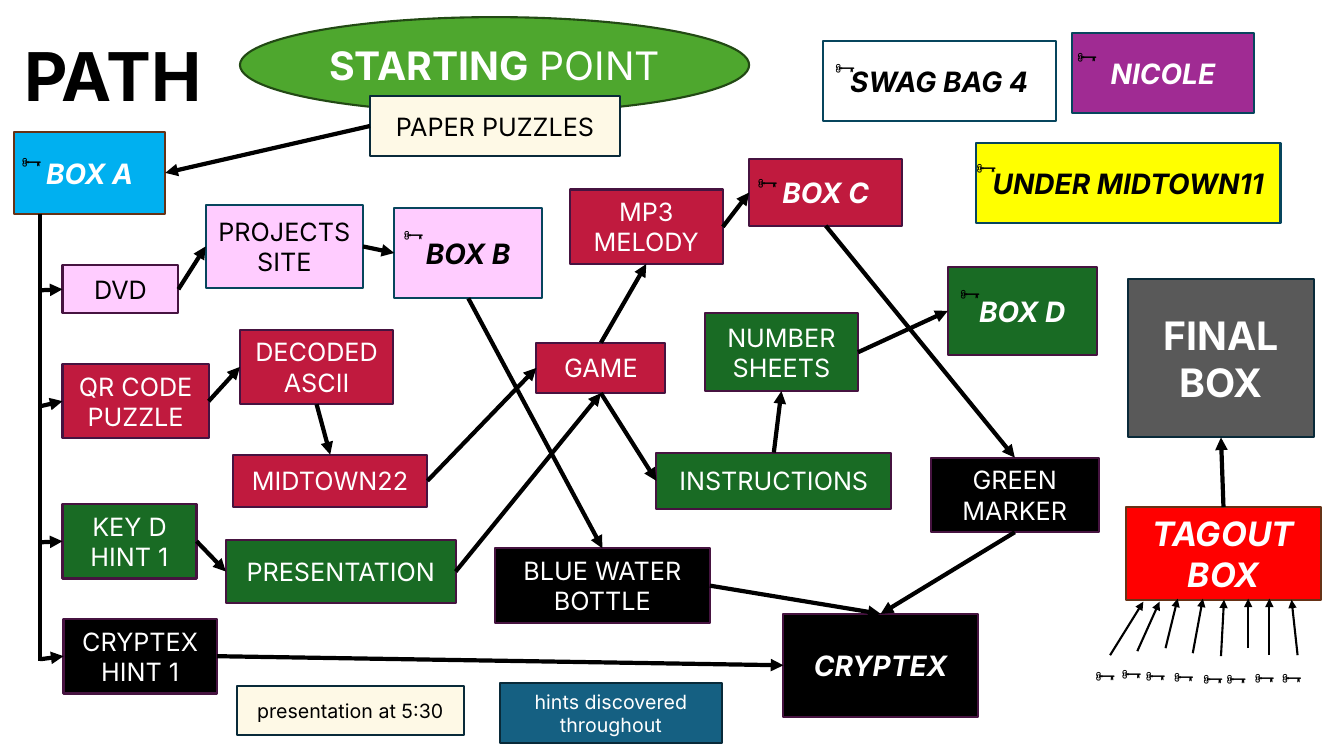
from lxml.etree import SubElement
from pptx import Presentation
from pptx.dml.color import RGBColor
from pptx.enum.shapes import MSO_CONNECTOR, MSO_SHAPE
from pptx.enum.text import MSO_ANCHOR, MSO_AUTO_SIZE, PP_ALIGN
from pptx.oxml.ns import qn
from pptx.util import Inches, Pt

BLACK = RGBColor(0x00, 0x00, 0x00)
WHITE = RGBColor(0xFF, 0xFF, 0xFF)
LEAF = RGBColor(0x4E, 0xA7, 0x2E)
LEAF_EDGE = RGBColor(0x22, 0x49, 0x14)
CREAM = RGBColor(0xFE, 0xF9, 0xE6)
SKY = RGBColor(0x00, 0xB0, 0xF0)
PINK = RGBColor(0xFF, 0xCC, 0xFF)
CRIMSON = RGBColor(0xC0, 0x1A, 0x3E)
GREEN = RGBColor(0x19, 0x6B, 0x24)
PURPLE = RGBColor(0xA0, 0x2B, 0x93)
YELLOW = RGBColor(0xFF, 0xFF, 0x00)
RED = RGBColor(0xFF, 0x00, 0x00)
GRAY = RGBColor(0x59, 0x59, 0x59)
BLUE = RGBColor(0x15, 0x60, 0x82)
NAVY = RGBColor(0x09, 0x2A, 0x39)
TEAL = RGBColor(0x07, 0x45, 0x5D)
PLUM = RGBColor(0x46, 0x13, 0x40)
BROWN = RGBColor(0x66, 0x32, 0x16)

TOP, LEFT, BOTTOM, RIGHT = range(4)

# label, (left, top, width, height), fill, edge, text colour
STEPS = [
    ("PAPER PUZZLES", (3.67, 0.95, 2.48, 0.6), CREAM, NAVY, BLACK),
    ("DVD", (0.62, 2.63, 1.15, 0.48), PINK, PLUM, BLACK),
    ("QR CODE PUZZLE", (0.62, 3.61, 1.45, 0.74), CRIMSON, PLUM, WHITE),
    ("KEY D HINT 1", (0.62, 5, 1.33, 0.74), GREEN, PLUM, WHITE),
    ("CRYPTEX HINT 1", (0.63, 6.14, 1.52, 0.74), BLACK, PLUM, WHITE),
    ("PROJECTS SITE", (2.04, 2.03, 1.56, 0.83), PINK, TEAL, BLACK),
    ("DECODED ASCII", (2.38, 3.27, 1.52, 0.74), CRIMSON, PLUM, WHITE),
    ("GAME", (5.32, 3.4, 1.28, 0.5), CRIMSON, PLUM, WHITE),
    ("MP3 MELODY", (5.65, 1.88, 1.52, 0.74), CRIMSON, PLUM, WHITE),
    ("MIDTOWN22", (2.31, 4.51, 1.93, 0.52), CRIMSON, PLUM, WHITE),
    ("PRESENTATION", (2.24, 5.36, 2.28, 0.62), GREEN, PLUM, WHITE),
    ("NUMBER SHEETS", (6.99, 3.11, 1.52, 0.77), GREEN, PLUM, WHITE),
    ("INSTRUCTIONS", (6.51, 4.49, 2.33, 0.56), GREEN, PLUM, WHITE),
    ("BLUE WATER BOTTLE", (4.91, 5.44, 2.13, 0.74), BLACK, PLUM, WHITE),
    ("GREEN MARKER", (9.23, 4.54, 1.67, 0.74), BLACK, PLUM, WHITE),
]
PRIZES = [
    ("BOX A", (0.14, 1.31, 1.5, 0.81), SKY, BROWN, WHITE),
    ("NICOLE", (10.63, 0.33, 1.81, 0.79), PURPLE, TEAL, WHITE),
    ("SWAG BAG 4", (8.16, 0.41, 2.31, 0.79), WHITE, TEAL, BLACK),
    ("UNDER MIDTOWN11", (9.68, 1.42, 3.02, 0.79), YELLOW, TEAL, BLACK),
    ("BOX B", (3.91, 2.06, 1.47, 0.9), PINK, TEAL, BLACK),
    ("BOX C", (7.43, 1.58, 1.52, 0.66), CRIMSON, PLUM, WHITE),
    ("BOX D", (9.4, 2.65, 1.48, 0.87), GREEN, PLUM, WHITE),
    ("CRYPTEX", (7.77, 6.09, 1.93, 1.02), BLACK, PLUM, WHITE),
]
NOTES = [
    ("hints discovered throughout", (4.96, 6.78, 2.2, 0.59), BLUE, NAVY, WHITE),
    ("presentation at 5:30", (2.35, 6.81, 2.25, 0.48), CREAM, NAVY, BLACK),
]
FLOW = [
    ("PAPER PUZZLES", LEFT, "BOX A", RIGHT),
    ("DVD", RIGHT, "PROJECTS SITE", LEFT),
    ("PROJECTS SITE", RIGHT, "BOX B", LEFT),
    ("QR CODE PUZZLE", RIGHT, "DECODED ASCII", LEFT),
    ("DECODED ASCII", BOTTOM, "MIDTOWN22", TOP),
    ("MIDTOWN22", RIGHT, "GAME", LEFT),
    ("GAME", TOP, "MP3 MELODY", BOTTOM),
    ("MP3 MELODY", RIGHT, "BOX C", LEFT),
    ("KEY D HINT 1", RIGHT, "PRESENTATION", LEFT),
    ("PRESENTATION", RIGHT, "GAME", BOTTOM),
    ("GAME", BOTTOM, "INSTRUCTIONS", LEFT),
    ("INSTRUCTIONS", TOP, "NUMBER SHEETS", BOTTOM),
    ("NUMBER SHEETS", RIGHT, "BOX D", LEFT),
    ("BOX B", BOTTOM, "BLUE WATER BOTTLE", TOP),
    ("BOX C", BOTTOM, "GREEN MARKER", TOP),
    ("CRYPTEX HINT 1", RIGHT, "CRYPTEX", LEFT),
    ("BLUE WATER BOTTLE", RIGHT, "CRYPTEX", TOP),
    ("GREEN MARKER", BOTTOM, "CRYPTEX", TOP),
    ("TAGOUT BOX", TOP, "FINAL BOX", BOTTOM),
]
SPINE_X = 0.4
BRANCHES = [("DVD", 2.88), ("QR CODE PUZZLE", 4.03), ("KEY D HINT 1", 5.38),
            ("CRYPTEX HINT 1", 6.54)]
BOX_KEYS = [(0.09, 1.38), (3.88, 2.11), (8.16, 0.45), (10.56, 0.34),
            (9.56, 1.44), (7.39, 1.59), (9.4, 2.69)]
TAGOUT_KEYS = [(10.74, 6.48), (11, 6.46), (11.24, 6.48), (11.52, 6.49),
               (11.81, 6.51), (12.04, 6.51), (12.32, 6.5), (12.59, 6.5)]
TAGOUT_ARROWS = [
    ((11.01, 6.5), (11.34, 5.97)), ((11.28, 6.46), (11.5, 5.97)),
    ((11.56, 6.43), (11.68, 5.94)), ((11.83, 6.48), (11.93, 5.94)),
    ((12.11, 6.51), (12.14, 5.95)), ((12.38, 6.43), (12.38, 5.94)),
    ((12.59, 6.5), (12.59, 5.94)), ((12.87, 6.5), (12.81, 5.95)),
]


class PathMap:
    font_name = "Inter"
    edge_width = Pt(1.5)

    def __init__(self, slide):
        self.slide = slide
        self.boxes = {}

    def add_run(self, paragraph, text, size, color, bold=False, italic=False, font_name=None):
        run = paragraph.add_run()
        run.text = text
        font = run.font
        font.name = font_name or self.font_name
        font.size = Pt(size)
        font.bold, font.italic = bold, italic
        font.color.rgb = color

    def shape(self, kind, bounds, fill, edge):
        """Add a filled shape and return it with its centred paragraph."""
        shape = self.slide.shapes.add_shape(kind, *map(Inches, bounds))
        shape.shadow.inherit = False
        shape.fill.solid()
        shape.fill.fore_color.rgb = fill
        shape.line.color.rgb = edge
        shape.line.width = self.edge_width
        frame = shape.text_frame
        frame.word_wrap = True
        frame.vertical_anchor = MSO_ANCHOR.MIDDLE
        paragraph = frame.paragraphs[0]
        paragraph.alignment = PP_ALIGN.CENTER
        return shape, paragraph

    def box(self, label, bounds, fill, edge, color, size=18, bold=False, italic=False):
        shape, paragraph = self.shape(MSO_SHAPE.RECTANGLE, bounds, fill, edge)
        self.add_run(paragraph, label, size, color, bold, italic)
        self.boxes[label] = shape

    def text(self, label, bounds, size, bold=False, wrap=True, font_name=None):
        frame = self.slide.shapes.add_textbox(*map(Inches, bounds)).text_frame
        frame.word_wrap = wrap
        frame.auto_size = MSO_AUTO_SIZE.SHAPE_TO_FIT_TEXT
        self.add_run(frame.paragraphs[0], label, size, BLACK, bold, font_name=font_name)

    def key(self, left, top):
        self.text("🗝️", (left, top, 0.55, 0.4), 18, wrap=False, font_name="Karla")

    def line(self, start=(0, 0), end=(0, 0), width=3, arrow=True):
        connector = self.slide.shapes.add_connector(
            MSO_CONNECTOR.STRAIGHT, *map(Inches, start + end))
        connector.line.color.rgb = BLACK
        connector.line.width = Pt(width)
        if arrow:
            outline = connector.line._get_or_add_ln()
            SubElement(outline, qn("a:tailEnd"), type="triangle")
        SubElement(connector._element.spPr, qn("a:effectLst"))
        return connector

    def link(self, source, source_side, target, target_side):
        connector = self.line()
        connector.begin_connect(self.boxes[source], source_side)
        connector.end_connect(self.boxes[target], target_side)

    def branch(self, target, y):
        """Lead from the vertical spine to the left side of a box."""
        self.line(start=(SPINE_X, y)).end_connect(self.boxes[target], LEFT)


def main():
    presentation = Presentation()
    presentation.slide_width = Inches(13.33)
    presentation.slide_height = Inches(7.5)
    path_map = PathMap(presentation.slides.add_slide(presentation.slide_layouts[6]))

    path_map.text("PATH", (0.14, 0.29, 4.77, 0.91), 48, bold=True)
    _, start = path_map.shape(MSO_SHAPE.OVAL, (2.38, 0.17, 5.05, 0.95), LEAF, LEAF_EDGE)
    path_map.add_run(start, "STARTING", 28, WHITE, bold=True)
    path_map.add_run(start, " POINT", 28, WHITE)

    for step in STEPS:
        path_map.box(*step)
    for prize in PRIZES:
        path_map.box(*prize, size=20, bold=True, italic=True)
    for note in NOTES:
        path_map.box(*note, size=14)
    path_map.box("TAGOUT BOX", (11.17, 5.03, 1.93, 0.92), RED, BROWN, WHITE, 24, True, True)
    path_map.box("FINAL BOX", (11.19, 2.77, 1.84, 1.57), GRAY, NAVY, WHITE, 28, True)

    path_map.line((SPINE_X, 2.12), (SPINE_X, 6.56), arrow=False)
    for branch in BRANCHES:
        path_map.branch(*branch)
    for link in FLOW:
        path_map.link(*link)
    for start_point, end_point in TAGOUT_ARROWS:
        path_map.line(start_point, end_point, width=1.5)
    for position in BOX_KEYS + TAGOUT_KEYS:
        path_map.key(*position)

    presentation.save("out.pptx")


if __name__ == "__main__":
    main()
